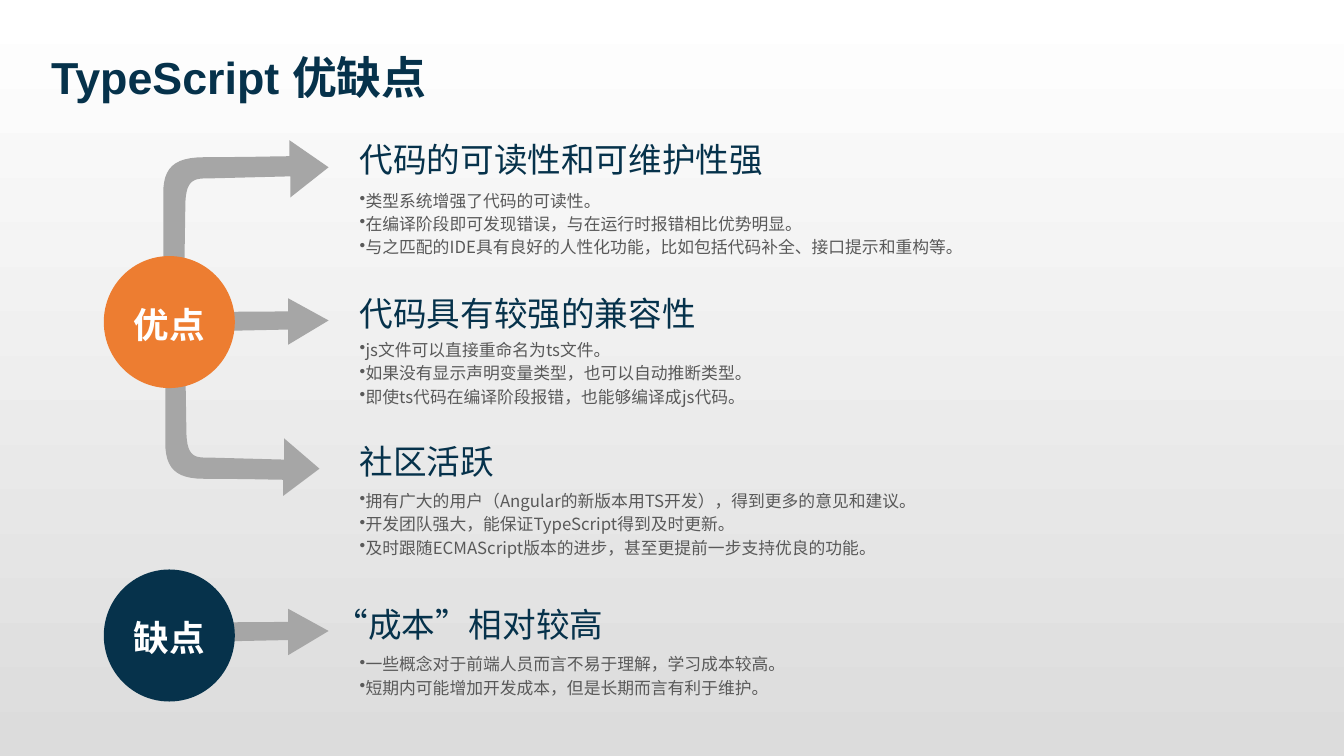
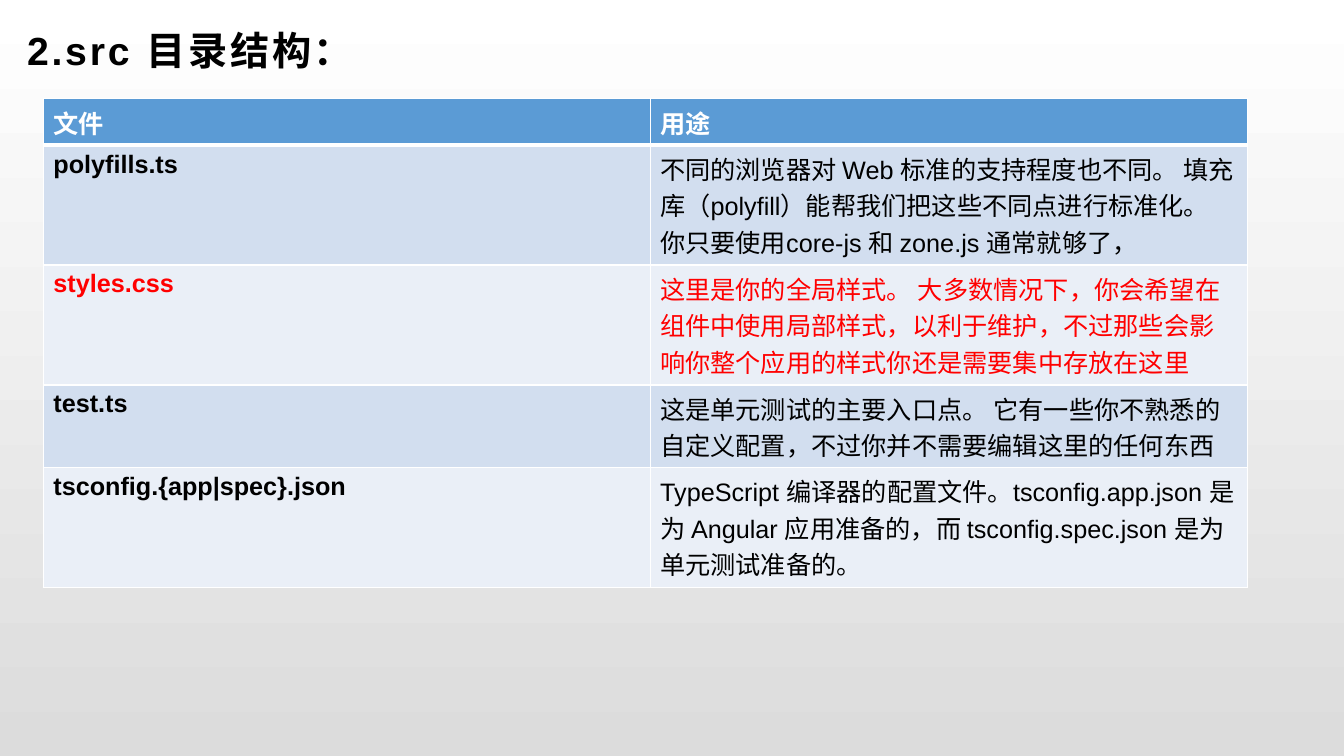
from lxml.etree import SubElement
from pptx import Presentation
from pptx.dml.color import RGBColor
from pptx.enum.shapes import MSO_SHAPE as Shape
from pptx.enum.text import MSO_ANCHOR as Anchor, PP_ALIGN as Align
from pptx.oxml import parse_xml
from pptx.oxml.ns import nsdecls, qn
from pptx.util import Emu, Pt

PX = 9144  # EMU per px: 100 px to the inch

NAVY = RGBColor(0x06, 0x32, 0x4B)
ORANGE = RGBColor(0xED, 0x7D, 0x31)
ARROW_GRAY = RGBColor(0xA6, 0xA6, 0xA6)
BODY_GRAY = RGBColor(0x59, 0x59, 0x59)
BLACK = RGBColor(0, 0, 0)
WHITE = RGBColor(0xFF, 0xFF, 0xFF)
RED = RGBColor(0xFF, 0, 0)
BACK_END = RGBColor(0xDC, 0xDC, 0xDC)
HEADER_BLUE = RGBColor(0x5B, 0x9B, 0xD5)
BANDS = (RGBColor(0xD2, 0xDE, 0xEF), RGBColor(0xEA, 0xEF, 0xF7))

LATIN, CJK = "Arial", "Noto Sans CJK SC"


def px(value):
    return Emu(round(value * PX))


def bezier(p0, p1, p2, p3, steps=12):
    """Points on a cubic curve, without its start."""
    for i in range(1, steps + 1):
        t = i / steps
        u = 1 - t
        yield tuple(u**3 * a + 3 * u * u * t * b + 3 * u * t * t * c + t**3 * d
                    for a, b, c, d in zip(p0, p1, p2, p3))


class Deck:
    def __init__(self):
        self.prs = Presentation()
        self.prs.slide_width, self.prs.slide_height = Emu(12192000), px(750)
        self.slide = None
        # Background shared through the master
        fill = self.prs.slide_master.background.fill
        fill.gradient()
        fill.gradient_angle = 270
        for stop, color, position in zip(fill.gradient_stops, (WHITE, BACK_END), (0, 1)):
            stop.color.rgb = color
            stop.position = position

    def new_slide(self):
        self.slide = self.prs.slides.add_slide(self.prs.slide_layouts[6])

    def style(self, paragraph, size, color, bold=False, font=LATIN, spacing=0):
        for run in paragraph.runs:
            run.font.size, run.font.bold, run.font.name = Pt(size), bold, font
            run.font.color.rgb = color
            props = run.font._element
            SubElement(props, qn("a:ea")).set("typeface", CJK)
            if spacing:
                props.set("spc", str(spacing * 100))

    def text(self, box, lines, size, color, anchor=Anchor.TOP, bullets=False, **look):
        frame = self.slide.shapes.add_textbox(*map(px, box)).text_frame
        frame.word_wrap = True
        frame.vertical_anchor = anchor
        frame.text = "\n".join(lines)
        for i, paragraph in enumerate(frame.paragraphs):
            if bullets:
                props = paragraph._p.get_or_add_pPr()
                props.set("marL", "0")
                props.set("indent", str(-19 * PX))
                SubElement(props, qn("a:buChar")).set("char", "•")
                if i:
                    paragraph.space_before = Pt(2.3)
            self.style(paragraph, size, color, **look)

    def title(self, text, box, size, color, spacing=0):
        self.text(box, [text], size, color, Anchor.MIDDLE, bold=True, spacing=spacing)

    def topic(self, heading, left, top, points, points_top, font=LATIN):
        self.text((left, top, 480, 58), [heading], 24, NAVY, font=font)
        self.text((347, points_top, 660, 91), points, 12, BODY_GRAY, bullets=True, font=CJK)

    def paint(self, shape, color):
        shape.shadow.inherit = False
        shape.fill.solid()
        shape.fill.fore_color.rgb = color
        shape.line.fill.background()

    def block_arrow(self, outline, drop=0):
        """Outline items are (x, y) corners or three-point curves."""
        points = []
        for item in outline:
            if isinstance(item[0], tuple):
                points.extend(bezier(points[-1], *item))
            else:
                points.append(item)
        points = [(px(x), px(y + drop)) for x, y in points]
        builder = self.slide.shapes.build_freeform(*points[0], scale=1.0)
        builder.add_line_segments(points[1:], close=True)
        self.paint(builder.convert_to_shape(), ARROW_GRAY)

    def circle(self, label, top, color):
        disc = self.slide.shapes.add_shape(Shape.OVAL, *map(px, (103, top, 130, 131)))
        self.paint(disc, color)
        frame = disc.text_frame
        frame.text = label
        frame.vertical_anchor = Anchor.MIDDLE
        paragraph = frame.paragraphs[0]
        paragraph.alignment = Align.CENTER
        paragraph.line_spacing = 1.1
        self.style(paragraph, 25.4, WHITE, bold=True)

    def cell(self, cell, text, fill, color, bold, top_width, bottom_width):
        cell.text = text
        cell.fill.solid()
        cell.fill.fore_color.rgb = fill
        self.style(cell.text_frame.paragraphs[0], 18, color, bold)
        edges = (("lnL", 1), ("lnR", 1), ("lnT", top_width), ("lnB", bottom_width))
        for i, (edge, width) in enumerate(edges):
            cell._tc.get_or_add_tcPr().insert(i, parse_xml(
                f'<a:{edge} {nsdecls("a")} w="{Pt(width)}"><a:solidFill>'
                f'<a:srgbClr val="{WHITE}"/></a:solidFill></a:{edge}>'))

    def table(self, left, top, widths, heights, rows, red_row):
        table = self.slide.shapes.add_table(
            len(rows), len(widths),
            *map(px, (left, top, sum(widths), sum(heights)))).table
        for column, width in zip(table.columns, widths):
            column.width = px(width)
        for r, (row, height) in enumerate(zip(rows, heights)):
            table.rows[r].height = px(height)
            fill = BANDS[(r - 1) % 2] if r else HEADER_BLUE
            color = RED if r == red_row else BLACK if r else WHITE
            for c, text in enumerate(row):
                self.cell(table.cell(r, c), text, fill, color, bold=r == 0 or c == 0,
                          top_width=3 if r == 1 else 1, bottom_width=1 if r else 3)


ARROW_UP = [
    (182, 327), (184, 200), ((185, 177), (194, 177), (208, 177)),
    (288, 175), (288, 196), (326, 166), (287, 139), (287, 155),
    ((287, 155), (233, 156), (203, 156)), ((172, 156), (162, 167), (162, 192)),
    (162, 330), ((165, 352), (178, 350), (182, 327))]
ARROW_DOWN = [
    (183, 304), (185, 431), ((186, 454), (194, 454), (207, 454)),
    (282, 456), (282, 435), (317, 465), (281, 492), (281, 476),
    ((281, 476), (231, 475), (202, 475)), ((174, 475), (164, 464), (164, 439)),
    (164, 301), ((167, 279), (179, 281), (183, 304))]
ARROW_RIGHT = [(142, 330), (286, 327), (286, 342), (326, 318),
               (286, 296), (286, 309), (142, 310)]

TOPICS = [
    ("代码的可读性和可维护性强", 347, 133, [
        "类型系统增强了代码的可读性。",
        "在编译阶段即可发现错误，与在运行时报错相比优势明显。",
        "与之匹配的IDE具有良好的人性化功能，比如包括代码补全、接口提示和重构等。"], 184),
    ("代码具有较强的兼容性", 347, 286, [
        "js文件可以直接重命名为ts文件。",
        "如果没有显示声明变量类型，也可以自动推断类型。",
        "即使ts代码在编译阶段报错，也能够编译成js代码。"], 332),
    ("社区活跃", 347, 432, [
        "拥有广大的用户（Angular的新版本用TS开发），得到更多的意见和建议。",
        "开发团队强大，能保证TypeScript得到及时更新。",
        "及时跟随ECMAScript版本的进步，甚至更提前一步支持优良的功能。"], 482),
    ("“成本”相对较高", 322, 594, [
        "一些概念对于前端人员而言不易于理解，学习成本较高。",
        "短期内可能增加开发成本，但是长期而言有利于维护。"], 644, CJK),
]

SRC_FILES = [
    ("文件", "用途"),
    ("polyfills.ts",
     "不同的浏览器对 Web 标准的支持程度也不同。 填充库（polyfill）能帮我们把这些不同点"
     "进行标准化。 你只要使用core-js 和 zone.js 通常就够了，"),
    ("styles.css",
     "这里是你的全局样式。 大多数情况下，你会希望在组件中使用局部样式，以利于维护，"
     "不过那些会影响你整个应用的样式你还是需要集中存放在这里"),
    ("test.ts",
     "这是单元测试的主要入口点。 它有一些你不熟悉的自定义配置，"
     "不过你并不需要编辑这里的任何东西"),
    ("tsconfig.{app|spec}.json",
     "TypeScript 编译器的配置文件。tsconfig.app.json 是为 Angular 应用准备的，"
     "而 tsconfig.spec.json 是为单元测试准备的。"),
]


def main():
    deck = Deck()

    # Pros and cons
    deck.new_slide()
    deck.title("TypeScript 优缺点", (41, 39, 549, 74), 32, NAVY)
    for outline in (ARROW_DOWN, ARROW_RIGHT, ARROW_UP):
        deck.block_arrow(outline)
    deck.block_arrow(ARROW_RIGHT, drop=308)
    deck.circle("优点", 254, ORANGE)
    deck.circle("缺点", 565, NAVY)
    for topic in TOPICS:
        deck.topic(*topic)

    # Directory structure
    deck.new_slide()
    deck.title("2.src 目录结构：", (17, 14, 1187, 71), 28, BLACK, spacing=2)
    deck.table(43, 98, (602, 593), (46, 119, 119, 82, 119), SRC_FILES, red_row=2)

    deck.prs.save("out.pptx")


if __name__ == "__main__":
    main()
